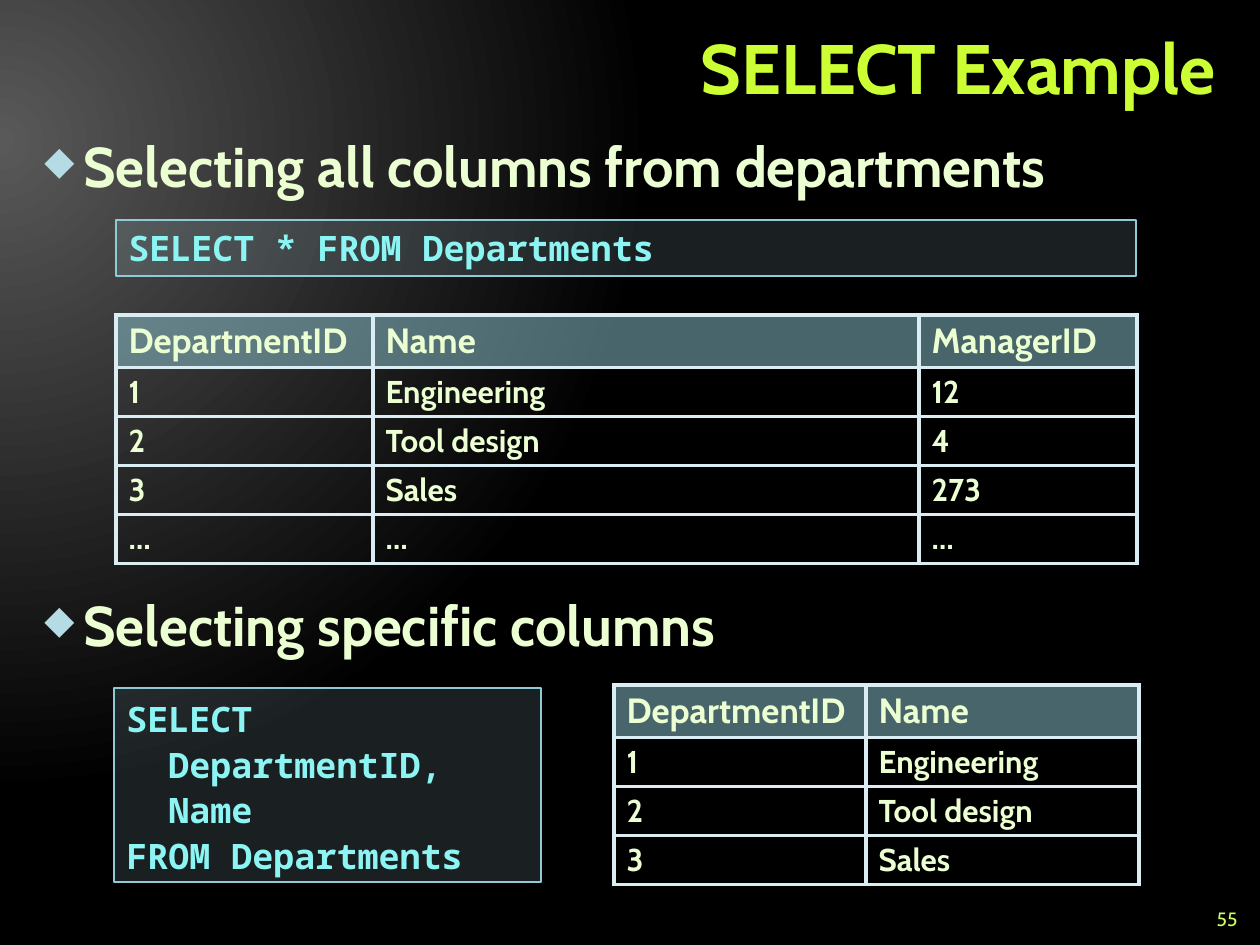
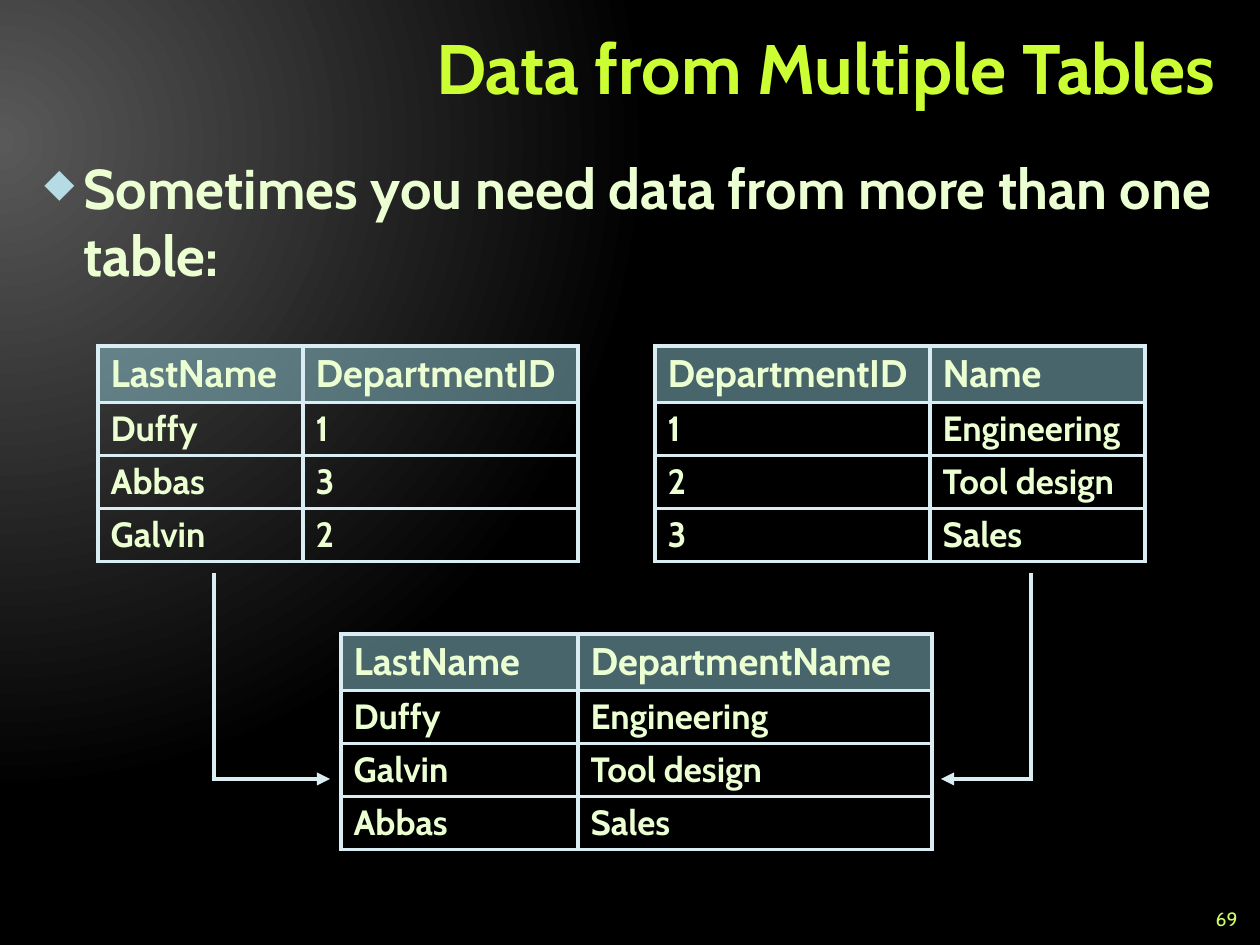
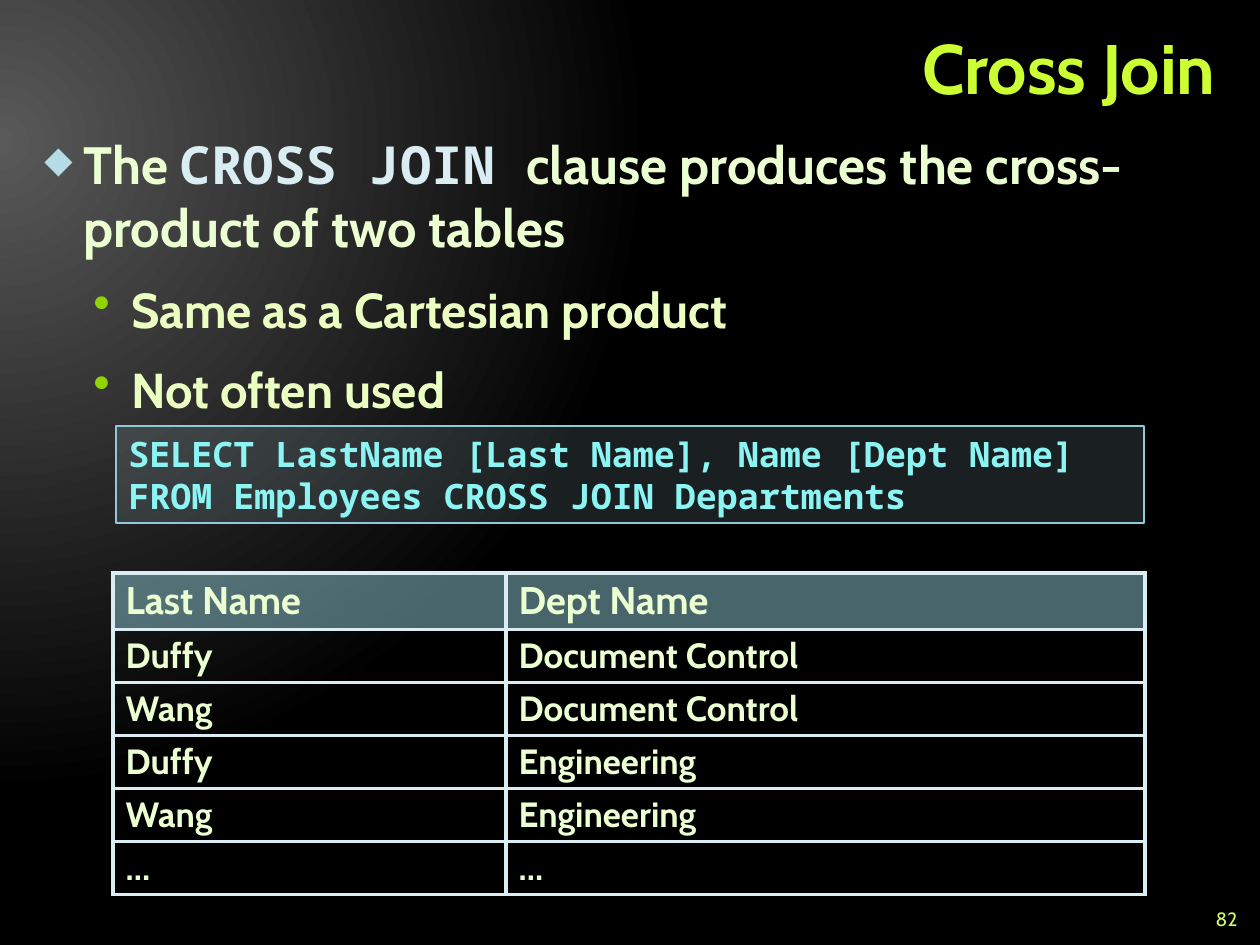
import pptx
import pptx.util
import pptx.dml.color
import pptx.enum.shapes
import pptx.enum.text
import pptx.oxml.ns
import lxml.etree

SANS, MONO = "Cabin", "Noto Sans Mono"
LIME, CREAM, PALE = "CCFF33", "EBFFD2", "DAEDF2"
SKY, TEAL, CYAN = "B5DBE5", "90CAD7", "8CF4F2"
LEAF, MOSS, PAGE = "EBFFC2", "8FD600", "CCFF66"
MID = pptx.enum.text.MSO_ANCHOR.MIDDLE
TOP = pptx.enum.text.MSO_ANCHOR.TOP
RIGHT = pptx.enum.text.PP_ALIGN.RIGHT
WIDE, HIGH = 1260, 945

WAVES = [
    {"top": 57, "high": 766, "knee": 655, "bend": (587, 917), "glow": "262626"},
    {"top": 84, "high": 617, "knee": 534, "bend": (507, 764), "glow": "595959"},
]
LEVELS = [
    {"left": 39, "hang": -39, "mark": "◆", "tint": SKY, "ratio": 70},
    {"left": 87, "hang": -38, "mark": "•", "tint": MOSS, "ratio": 100},
]
STAFF = [["LastName", "DepartmentID"], ["Duffy", "1"], ["Abbas", "3"], ["Galvin", "2"]]
DEPTS = [["DepartmentID", "Name"], ["1", "Engineering"], ["2", "Tool design"], ["3", "Sales"]]
JOINED = [["LastName", "DepartmentName"], ["Duffy", "Engineering"],
          ["Galvin", "Tool design"], ["Abbas", "Sales"]]
FULL = [["DepartmentID", "Name", "ManagerID"], ["1", "Engineering", "12"],
        ["2", "Tool design", "4"], ["3", "Sales", "273"], ["…"] * 3]
CROSS = [["Last Name", "Dept Name"], ["Duffy", "Document Control"],
         ["Wang", "Document Control"], ["Duffy", "Engineering"],
         ["Wang", "Engineering"], ["…"] * 2]

SLIDES = [
    {
        "title": "SELECT Example", "page": "55",
        "body": (32, 126, 1184, 764), "pitch": 38,
        "points": [
            (0, 6, [("Selecting all columns from departments", 32, SANS, CREAM)]),
            (0, 218, [("Selecting specific columns", 32, SANS, CREAM)]),
        ],
        "codes": [
            ((116, 220, 1020, 56), None, [(0, "SELECT * FROM Departments")]),
            ((114, 688, 427, 194), 26, [(0, "SELECT"), (2, "DepartmentID,"),
                                        (2, "Name"), (0, "FROM Departments")]),
        ],
        "tables": [((116, 315), (257, 546, 218), 20, FULL),
                   ((614, 685), (252, 273), 20, DEPTS)],
        "arrows": [],
    },
    {
        "title": "Data from Multiple Tables", "page": "69",
        "body": (32, 147, 1197, 777), "pitch": None,
        "points": [(0, 6, [("Sometimes you need data from more than one table:",
                            32, SANS, CREAM)])],
        "codes": [],
        "tables": [((98, 346), (205, 275), 22, STAFF),
                   ((655, 346), (275, 215), 22, DEPTS),
                   ((341, 634), (237, 354), 22, JOINED)],
        "arrows": [(1031, 573, 779, 941), (214, 573, 779, 330)],
    },
    {
        "title": "Cross Join", "page": "82",
        "body": (32, 126, 1197, 774), "pitch": None,
        "points": [
            (0, 6, [("The ", 30, SANS, CREAM), ("CROSS JOIN ", 30, MONO, PALE),
                    ("clause produces the cross-product of two tables", 30, SANS, CREAM)]),
            (1, 6, [("Same as a Cartesian product", 28, SANS, LEAF)]),
            (1, 6, [("Not often used", 28, SANS, LEAF)]),
        ],
        "codes": [((116, 426, 1028, 97), None,
                   [(0, "SELECT LastName [Last Name], Name [Dept Name]"),
                    (0, "FROM Employees CROSS JOIN Departments")])],
        "tables": [((113, 573), (393, 639), 22, CROSS)],
        "arrows": [],
    },
]

qn = pptx.oxml.ns.qn
Pt = pptx.util.Pt


def px(n):
    return pptx.util.Emu(round(n * 914400 / 126))


def rgb(code):
    return pptx.dml.color.RGBColor.from_string(code)


def node(base, tag, **attrs):
    item = lxml.etree.SubElement(base, qn("a:" + tag))
    for key, val in attrs.items():
        item.set(key, str(val))
    return item


def veil(fill, share):
    node(fill.find(".//" + qn("a:srgbClr")), "alpha", val=share * 1000)


def paint(font, size, face, color, bold=True):
    font.size, font.name, font.bold = Pt(size), face, bold
    font.color.rgb = rgb(color)


def blend(fill, stops):
    fill.gradient()
    for stop, (place, color) in zip(fill.gradient_stops, stops):
        stop.position = place
        stop.color.rgb = rgb(color)


def backdrop(slide):
    blend(slide.background.fill, [(0, "595959"), (0.83, "000000")])
    line = slide.element.find(".//" + qn("a:lin"))
    grad = line.getparent()
    grad.remove(line)
    ring = node(grad, "path", path="circle")
    node(ring, "fillToRect", l=20000, t=30000, r=135000, b=100000)


def wave(slide, top, high, knee, bend, glow):
    pen = slide.shapes.build_freeform(0, 0, scale=px(1))
    pen.add_line_segments([(WIDE, 0), (WIDE, knee), (0, high)], close=True)
    shape = pen.convert_to_shape(0, px(top))
    shape.rotation = 180
    shape.shadow.inherit = False
    shape.line.fill.background()
    last = shape._element.findall(".//" + qn("a:lnTo"))[-1]
    curve = lxml.etree.Element(qn("a:cubicBezTo"))
    for x, y in [(WIDE - 630, knee), bend]:
        node(curve, "pt", x=px(x), y=px(y))
    curve.append(last[0])
    last.getparent().replace(last, curve)
    blend(shape.fill, [(0.65, "000D9E"), (1, glow)])
    shape.fill.gradient_angle = 280
    veil(shape._element.find(".//" + qn("a:gradFill")), 0)


def box(slide, area, anchor):
    frame = slide.shapes.add_textbox(*map(px, area)).text_frame
    frame.word_wrap = True
    frame.vertical_anchor = anchor
    return frame


def label(slide, area, text, size, color, bold, pitch=None):
    para = box(slide, area, MID).paragraphs[0]
    para.text, para.alignment = text, RIGHT
    para.line_spacing = pitch
    paint(para.font, size, SANS, color, bold)


def rows(frame, items):
    for i, item in enumerate(items):
        yield frame.paragraphs[0] if i == 0 else frame.add_paragraph(), item


def body(slide, area, points, pitch):
    for para, (rank, gap, runs) in rows(box(slide, area, TOP), points):
        look = LEVELS[rank]
        para.level = rank
        para.space_before, para.space_after = Pt(gap), Pt(6)
        para.line_spacing = Pt(pitch) if pitch else None
        prop = para._p.get_or_add_pPr()
        prop.set("marL", str(px(look["left"])))
        prop.set("indent", str(px(look["hang"])))
        node(node(prop, "buClr"), "srgbClr", val=look["tint"])
        node(prop, "buSzPct", val=look["ratio"] * 1000)
        node(prop, "buChar", char=look["mark"])
        for text, *style in runs:
            run = para.add_run()
            run.text = text
            paint(para.font if len(runs) == 1 else run.font, *style)


def code(slide, area, pitch, lines):
    kind = pptx.enum.shapes.MSO_SHAPE.RECTANGLE
    shape = slide.shapes.add_shape(kind, *map(px, area))
    shape.shadow.inherit = False
    shape.fill.solid()
    shape.fill.fore_color.rgb = rgb(SKY)
    veil(shape._element.spPr.find(qn("a:solidFill")), 15)
    shape.line.color.rgb, shape.line.width = rgb(TEAL), Pt(1)
    frame = shape.text_frame
    frame.word_wrap, frame.vertical_anchor = True, TOP
    frame.auto_size = pptx.enum.text.MSO_AUTO_SIZE.SHAPE_TO_FIT_TEXT
    for para, (tab, text) in rows(frame, lines):
        para.text = text
        para.alignment = pptx.enum.text.PP_ALIGN.LEFT
        para.line_spacing = Pt(pitch) if pitch else None
        para._p.get_or_add_pPr().set("marL", str(px(tab * 21)))
        paint(para.font, 20, MONO, CYAN)


def cell(slot, text, size, head):
    prop = slot._tc.get_or_add_tcPr()
    for side in ("lnL", "lnR", "lnT", "lnB"):
        edge = node(prop, side, w=Pt(2.25))
        node(node(edge, "solidFill"), "srgbClr", val=PALE)
    if head:
        slot.fill.solid()
        slot.fill.fore_color.rgb = rgb(TEAL)
        veil(prop.find(qn("a:solidFill")), 50)
    else:
        slot.fill.background()
    para = slot.text_frame.paragraphs[0]
    para.text, para.line_spacing = text, 0.95
    paint(para.font, size, SANS, CREAM)


def table(slide, spot, widths, size, data):
    first, rest = (52, 49) if size == 20 else (56, 53)
    area = (*spot, sum(widths), first + rest * (len(data) - 1))
    grid = slide.shapes.add_table(len(data), len(widths), *map(px, area)).table
    grid.first_row = grid.horz_banding = False
    for col, width in zip(grid.columns, widths):
        col.width = px(width)
    for r, line in enumerate(data):
        grid.rows[r].height = px(rest if r else first)
        for c, text in enumerate(line):
            cell(grid.cell(r, c), text, size if r == 0 else size - 2, r == 0)


def arrow(slide, x, top, low, end):
    group = slide.shapes.add_group_shape()
    kind = pptx.enum.shapes.MSO_CONNECTOR.STRAIGHT
    for ends in [(x, top, x, low + 2), (x, low, end, low)]:
        line = group.shapes.add_connector(kind, *map(px, ends))
        line.line.color.rgb, line.line.width = rgb(PALE), Pt(2.5)
        node(line._element.spPr, "effectLst")
    node(line.line._get_or_add_ln(), "tailEnd", type="triangle")


deck = pptx.Presentation()
deck.slide_width, deck.slide_height = px(WIDE), px(HIGH)
for plan in SLIDES:
    slide = deck.slides.add_slide(deck.slide_layouts[6])
    backdrop(slide)
    for crest in WAVES:
        wave(slide, **crest)
    for bent in plan["arrows"]:
        arrow(slide, *bent)
    label(slide, (252, 10, 976, 126), plan["title"], 40, LIME, True, Pt(40))
    body(slide, plan["body"], plan["points"], plan["pitch"])
    label(slide, (1187, 903, 63, 32), plan["page"], 11, PAGE, False)
    for block in plan["codes"]:
        code(slide, *block)
    for sheet in plan["tables"]:
        table(slide, *sheet)
deck.save("out.pptx")
